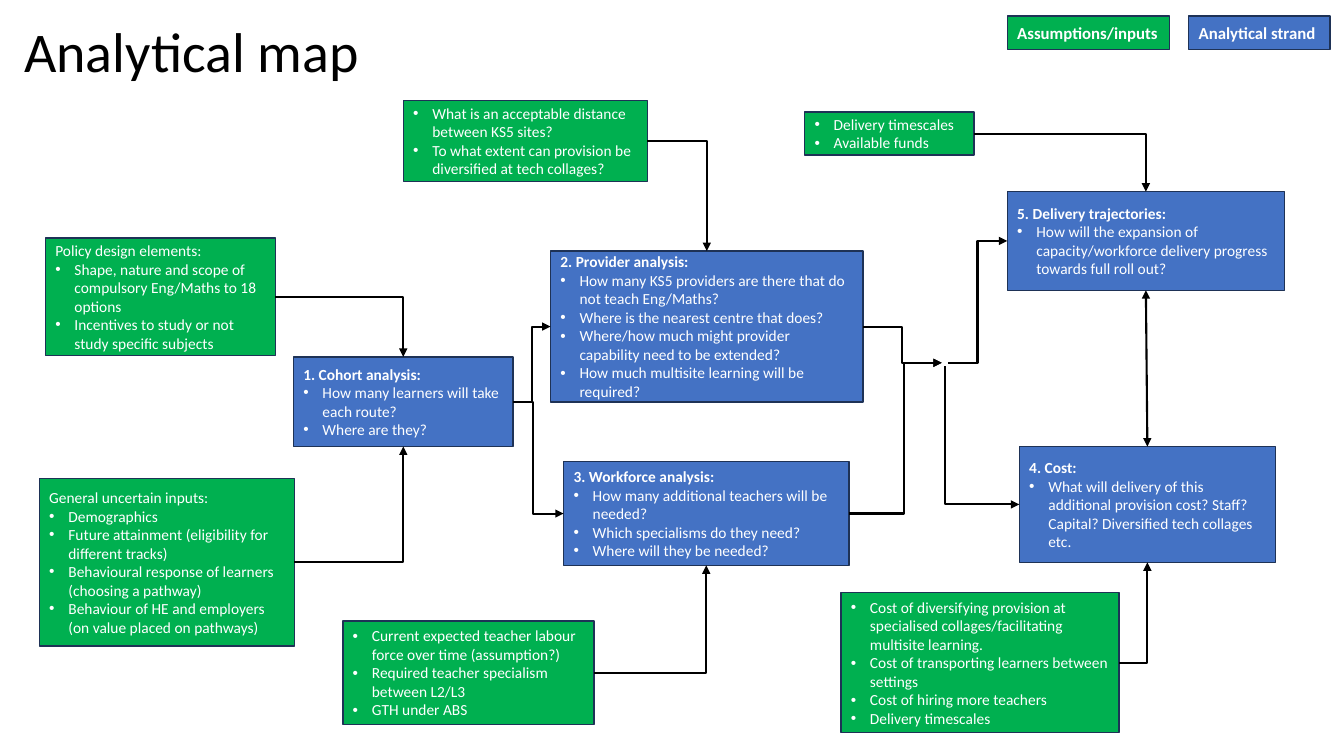
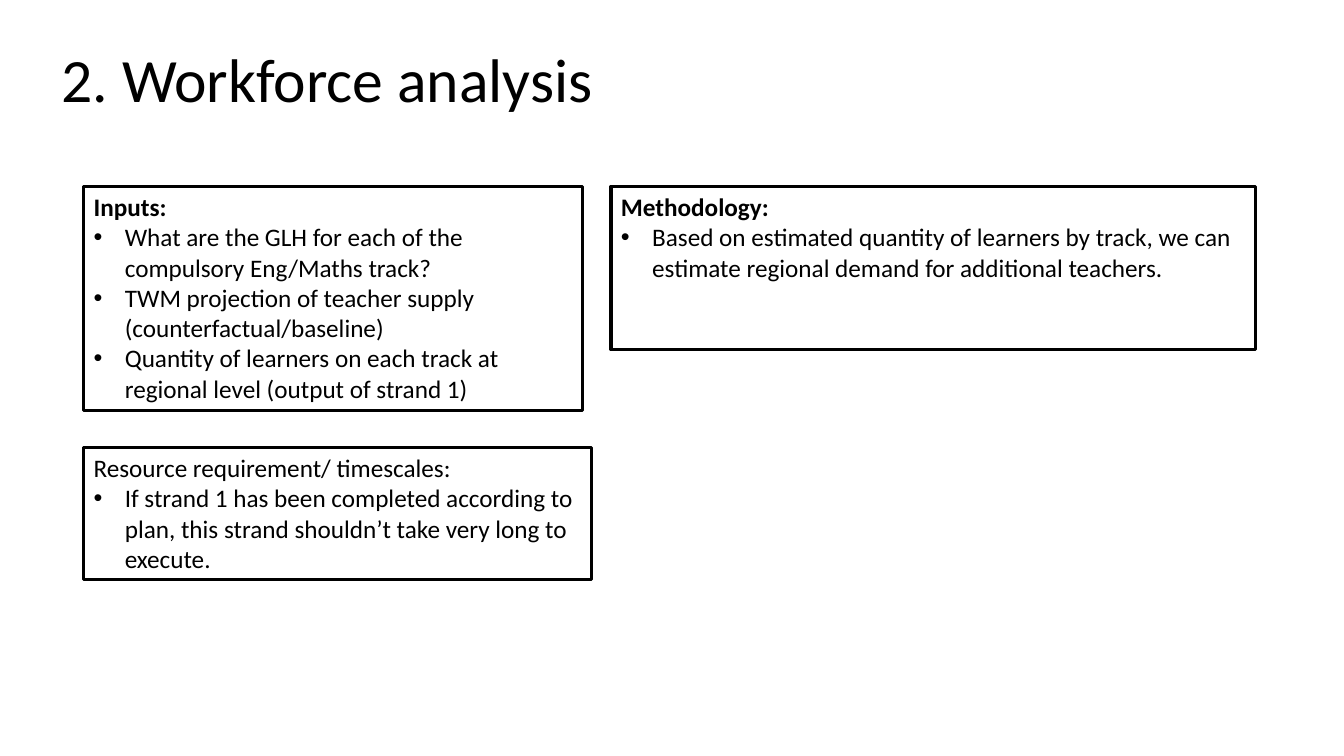
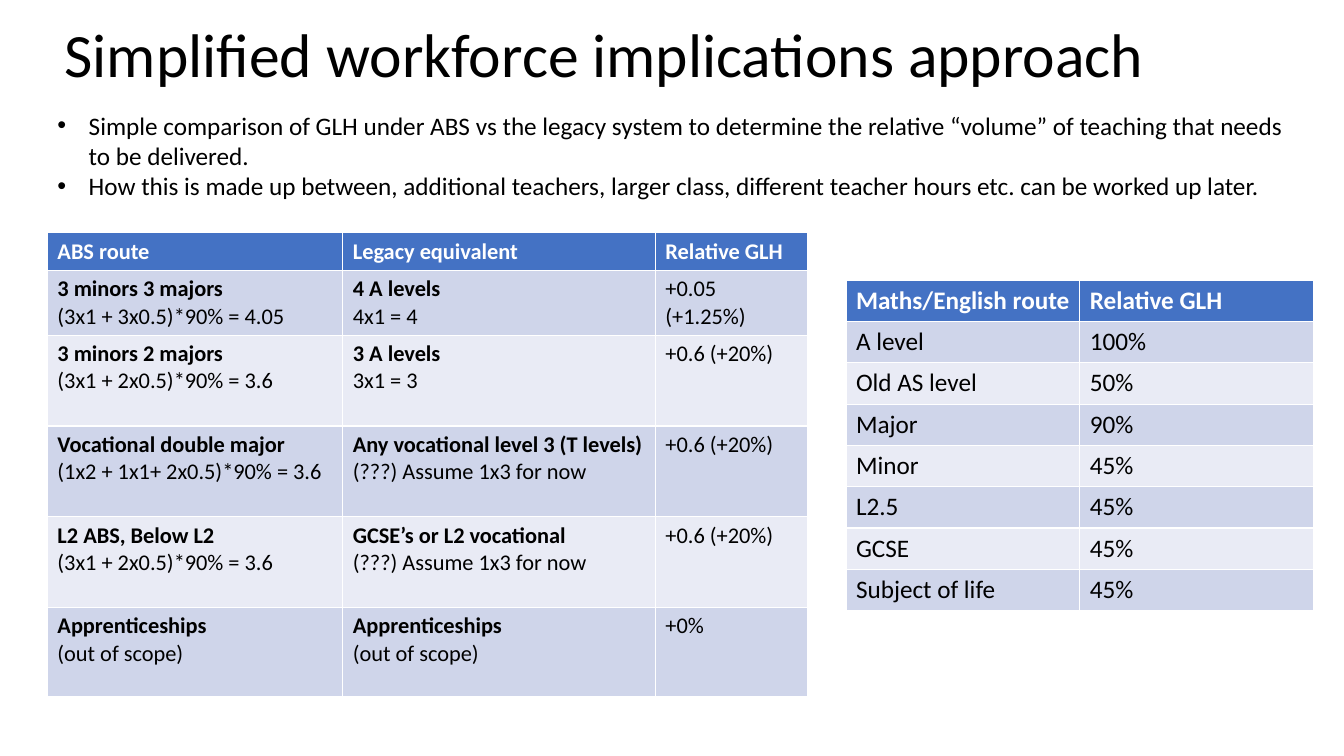
from pptx import Presentation
from pptx.dml.color import RGBColor as Rgb
from pptx.enum.shapes import MSO_CONNECTOR as Conn, MSO_SHAPE as Form
from pptx.enum.text import MSO_ANCHOR as Anchor, MSO_AUTO_SIZE as Auto, PP_ALIGN as Align
from pptx.oxml.ns import qn
from pptx.util import Inches, Pt
from lxml.etree import SubElement as Sub

HUES = {
    "ink": "000000", "white": "FFFFFF", "blue": "4472C4", "green": "00B050",
    "edge": "1E3256", "dark": "CFD5EA", "pale": "E9EBF5",
}
TOP, LEFT, FOOT, RIGHT = range(4)


def hue(name):
    return Rgb.from_string(HUES[name])


def apply(item, form):
    for key, value in form.items():
        setattr(item, key, value)


class Deck:
    font = "Calibri"
    kinds = {
        "strand": {"fill": "blue", "line": "edge", "width": 1, "ink": "white", "size": 11,
                   "dent": 0.19, "bold": True, "anchor": Anchor.MIDDLE},
        "input": {"fill": "green", "line": "edge", "width": 1, "ink": "white", "size": 11,
                  "dent": 0.19, "bold": False, "anchor": Anchor.MIDDLE},
        "panel": {"fill": None, "line": "ink", "width": 2.25, "ink": "ink", "size": 18,
                  "dent": 0.31, "bold": True, "anchor": Anchor.TOP},
    }

    def __init__(self):
        self.show = Presentation()
        apply(self.show, {"slide_width": Inches(13.33), "slide_height": Inches(7.5)})
        self.slide = None

    def place(self, item, at):
        names = ("left", "top", "width", "height")
        apply(item, {name: Inches(size) for name, size in zip(names, at)})

    def page(self, title, at, size=44, body=False):
        self.slide = self.show.slides.add_slide(self.show.slide_layouts[1 if body else 5])
        head = self.slide.shapes.title
        self.place(head, at)
        frame = head.text_frame
        apply(frame, {"word_wrap": True, "auto_size": Auto.NONE, "vertical_anchor": Anchor.MIDDLE})
        self.phrase(frame.paragraphs[0], title, size, "ink")
        frame.paragraphs[0].line_spacing = 0.9

    def phrase(self, para, text, size, ink, bold=False, dent=0):
        apply(para, {"alignment": Align.LEFT, "space_before": Pt(0)})
        run = para.add_run()
        run.text = text
        apply(run.font, {"name": self.font, "size": Pt(size), "bold": bold})
        run.font.color.rgb = hue(ink)
        if dent:
            prop = para._p.get_or_add_pPr()
            prop.set("marL", str(Inches(dent)))
            prop.set("indent", str(-Inches(dent)))
            Sub(prop, qn("a:buFont")).set("typeface", "Arial")
            Sub(prop, qn("a:buChar")).set("char", "•")

    def fill(self, frame, head, items, size, ink, bold, dent):
        rows = [(head, bold, 0)] if head else []
        rows += [(item, False, dent) for item in items]
        for spot, (text, heavy, inset) in enumerate(rows):
            para = frame.add_paragraph() if spot else frame.paragraphs[0]
            self.phrase(para, text, size, ink, heavy, inset)

    def box(self, kind, at, head, items=(), **more):
        form = {**self.kinds[kind], **more}
        box = self.slide.shapes.add_shape(Form.RECTANGLE, *map(Inches, at))
        box.shadow.inherit = False
        if form["fill"]:
            box.fill.solid()
            box.fill.fore_color.rgb = hue(form["fill"])
        else:
            box.fill.background()
        box.line.color.rgb = hue(form["line"])
        box.line.width = Pt(form["width"])
        apply(box.text_frame, {"word_wrap": True, "vertical_anchor": form["anchor"]})
        self.fill(box.text_frame, head, items, form["size"], form["ink"], form["bold"], form["dent"])
        return box

    def points(self, at, items, size=18):
        body = self.slide.placeholders[1]
        self.place(body, at)
        apply(body.text_frame, {"word_wrap": True, "auto_size": Auto.NONE,
                                "vertical_anchor": Anchor.TOP})
        self.fill(body.text_frame, None, items, size, "ink", False, 0.31)

    def link(self, start, stop, bend=None, tips=("tail",)):
        kind = Conn.STRAIGHT if bend == "line" else Conn.ELBOW
        ends = [[Inches(n) for n in end] if isinstance(end[0], float) else (0, 0)
                for end in (start, stop)]
        link = self.slide.shapes.add_connector(kind, *ends[0], *ends[1])
        for end, join in ((start, link.begin_connect), (stop, link.end_connect)):
            if not isinstance(end[0], float):
                join(*end)
        link.line.color.rgb = hue("ink")
        link.line.width = Pt(1.5)
        prop = link._element.spPr
        form = prop.find(qn("a:prstGeom"))
        if bend == "corner":
            form.set("prst", "bentConnector2")
        elif isinstance(bend, float):
            guide = Sub(form.find(qn("a:avLst")), qn("a:gd"))
            guide.set("name", "adj1")
            guide.set("fmla", f"val {round(bend * 100000)}")
        for tip in ("head", "tail"):
            if tip in tips:
                Sub(prop.find(qn("a:ln")), qn(f"a:{tip}End")).set("type", "triangle")
        Sub(prop, qn("a:effectLst"))

    def table(self, at, cols, tall, rows, size):
        grid = self.slide.shapes.add_table(
            len(rows), len(cols), *map(Inches, (*at, sum(cols), sum(tall)))).table
        for col, wide in zip(grid.columns, cols):
            col.width = Inches(wide)
        for y, row in enumerate(rows):
            grid.rows[y].height = Inches(tall[y])
            for x, text in enumerate(row):
                cell = grid.cell(y, x)
                cell.fill.solid()
                cell.fill.fore_color.rgb = hue(("dark" if y % 2 else "pale") if y else "blue")
                head, *rest = text.split("\n")
                ink, bold = ("ink", bool(rest)) if y else ("white", True)
                self.fill(cell.text_frame, head, rest, size, ink, bold, 0)


def plan(deck):
    deck.page("Analytical map", (0.14, 0.09, 3.62, 0.89), size=40)
    cohort = deck.box("strand", (2.91, 3.54, 2.18, 0.89), "1. Cohort analysis:", [
        "How many learners will take each route?", "Where are they?"])
    school = deck.box("strand", (5.46, 2.49, 3.1, 1.5), "2. Provider analysis:", [
        "How many KS5 providers are there that do not teach Eng/Maths?",
        "Where is the nearest centre that does?",
        "Where/how much might provider capability need to be extended?",
        "How much multisite learning will be required?"])
    staff = deck.box("strand", (5.59, 4.58, 2.83, 1.03), "3. Workforce analysis:", [
        "How many additional teachers will be needed?",
        "Which specialisms do they need?", "Where will they be needed?"])
    cost = deck.box("strand", (10.11, 4.43, 2.54, 1.15), "4. Cost:", [
        "What will delivery of this additional provision cost? Staff? Capital? "
        "Diversified tech collages etc."])
    track = deck.box("strand", (9.99, 1.9, 2.75, 0.98), "5. Delivery trajectories:", [
        "How will the expansion of capacity/workforce delivery progress towards full roll out?"])
    design = deck.box("input", (0.45, 2.36, 2.28, 1.17), "Policy design elements:", [
        "Shape, nature and scope of compulsory Eng/Maths to 18 options",
        "Incentives to study or not study specific subjects"])
    unsure = deck.box("input", (0.39, 4.75, 2.53, 1.66), "General uncertain inputs:", [
        "Demographics", "Future attainment (eligibility for different tracks)",
        "Behavioural response of learners (choosing a pathway)",
        "Behaviour of HE and employers (on value placed on pathways)"])
    labour = deck.box("input", (3.4, 6.16, 2.49, 1.03), None, [
        "Current expected teacher labour force over time (assumption?)",
        "Required teacher specialism between L2/L3", "GTH under ABS"])
    sites = deck.box("input", (4, 1, 2.42, 0.8), None, [
        "What is an acceptable distance between KS5 sites?",
        "To what extent can provision be diversified at tech collages?"])
    spend = deck.box("input", (8.34, 5.88, 2.76, 1.39), None, [
        "Cost of diversifying provision at specialised collages/facilitating multisite learning.",
        "Cost of transporting learners between settings",
        "Cost of hiring more teachers", "Delivery timescales"])
    funds = deck.box("input", (7.98, 1.11, 1.68, 0.43), None, [
        "Delivery timescales", "Available funds"])
    deck.box("input", (9.99, 0.16, 1.61, 0.33), "Assumptions/inputs", size=12, bold=True)
    deck.box("strand", (11.79, 0.16, 1.4, 0.33), "Analytical strand", size=12)

    for start, stop, side in (
            (design, cohort, TOP), (unsure, cohort, FOOT), (labour, staff, FOOT),
            (sites, school, TOP), (spend, cost, FOOT), (funds, track, TOP)):
        deck.link((start, RIGHT), (stop, side), "corner")
    deck.link((cohort, RIGHT), (school, LEFT), 0.5)
    deck.link((cohort, RIGHT), (staff, LEFT), 0.39)
    deck.link((school, RIGHT), (9.34, 3.6), 0.5)
    deck.link((staff, RIGHT), (9.34, 3.6), 0.59)
    deck.link((9.4, 3.6), (track, LEFT), 0.5)
    deck.link((cost, LEFT), (9.37, 3.63), "corner", tips=("head",))
    deck.link((track, FOOT), (cost, TOP), "line", tips=("head", "tail"))


def staffing(deck):
    deck.page("2. Workforce analysis", (0.51, 0.17, 5.82, 1.3))
    deck.box("panel", (0.83, 1.85, 4.95, 2.22), "Inputs:", [
        "What are the GLH for each of the compulsory Eng/Maths track?",
        "TWM projection of teacher supply (counterfactual/baseline)",
        "Quantity of learners on each track at regional level (output of strand 1)"])
    deck.box("panel", (0.83, 4.44, 5.04, 1.31), "Resource requirement/ timescales:", [
        "If strand 1 has been completed according to plan, this strand shouldn’t take "
        "very long to execute."], bold=False)
    deck.box("panel", (6.06, 1.85, 6.39, 1.62), "Methodology:", [
        "Based on estimated quantity of learners by track, we can estimate regional demand "
        "for additional teachers."])


def volume(deck):
    deck.page("Simplified workforce implications approach", (0.54, 0.16, 11.5, 0.82), body=True)
    deck.table((0.47, 2.31), (2.93, 3.1, 1.51), (0.36, 0.63, 0.9, 0.9, 0.9, 0.89), [
        ("ABS route", "Legacy equivalent", "Relative GLH"),
        ("3 minors 3 majors\n(3x1 + 3x0.5)*90% = 4.05", "4 A levels\n4x1 = 4", "+0.05 (+1.25%)"),
        ("3 minors 2 majors\n(3x1 + 2x0.5)*90% = 3.6", "3 A levels\n3x1 = 3", "+0.6 (+20%)"),
        ("Vocational double major\n(1x2 + 1x1+ 2x0.5)*90% = 3.6",
         "Any vocational level 3 (T levels)\n(???) Assume 1x3 for now", "+0.6 (+20%)"),
        ("L2 ABS, Below L2\n(3x1 + 2x0.5)*90% = 3.6",
         "GCSE’s or L2 vocational\n(???) Assume 1x3 for now", "+0.6 (+20%)"),
        ("Apprenticeships\n(out of scope)", "Apprenticeships\n(out of scope)", "+0%"),
    ], 16)
    deck.points((0.47, 1.04, 12.57, 1.01), [
        "Simple comparison of GLH under ABS vs the legacy system to determine the relative "
        "“volume” of teaching that needs to be delivered.",
        "How this is made up between, additional teachers, larger class, different teacher "
        "hours etc. can be worked up later."])
    deck.table((8.39, 2.78), (2.32, 2.32), (0.41,) * 8, [
        ("Maths/English route", "Relative GLH"), ("A level", "100%"), ("Old AS level", "50%"),
        ("Major", "90%"), ("Minor", "45%"), ("L2.5", "45%"), ("GCSE", "45%"),
        ("Subject of life", "45%"),
    ], 18)


def main():
    deck = Deck()
    for build in (plan, staffing, volume):
        build(deck)
    deck.show.save("out.pptx")


if __name__ == "__main__":
    main()
